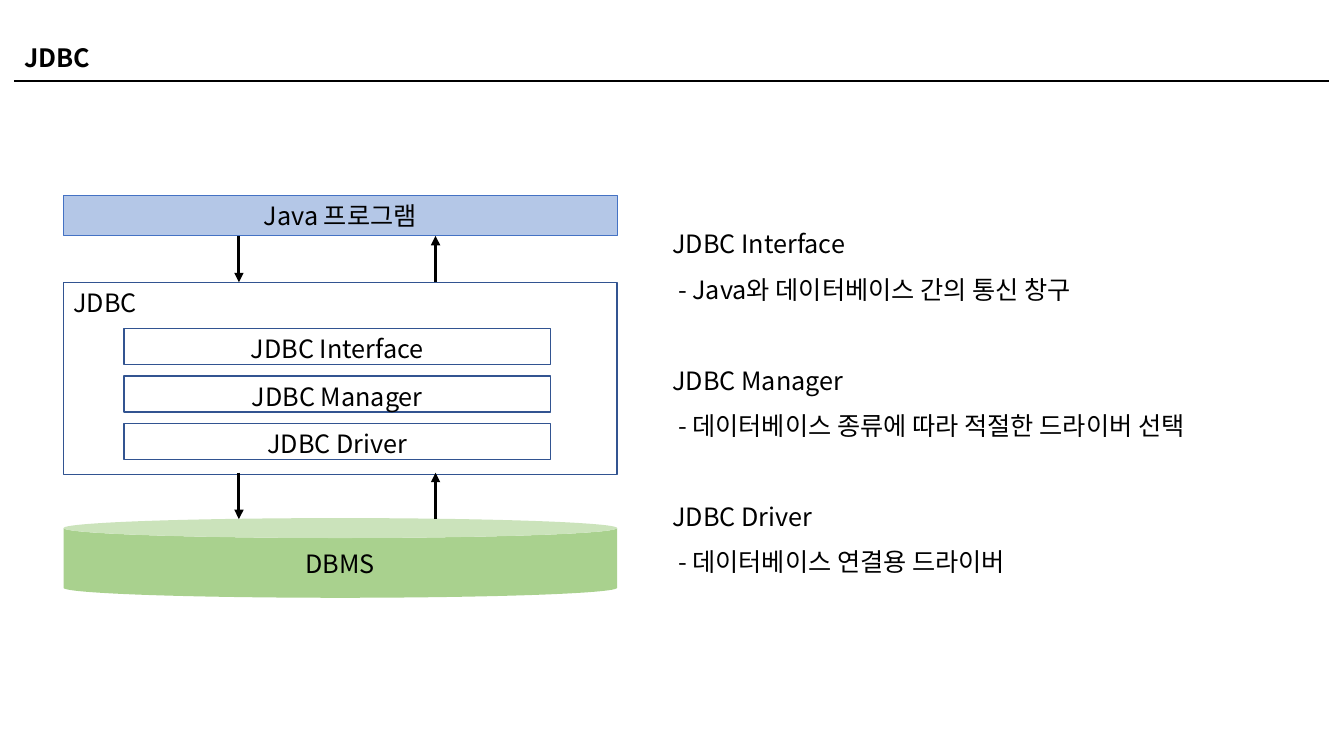
import pptx
import pptx.util
import pptx.dml.color
import pptx.enum.shapes
import pptx.enum.text
import pptx.oxml
import pptx.oxml.ns

Inches = pptx.util.Inches
Pt = pptx.util.Pt
Shape = pptx.enum.shapes.MSO_SHAPE
Align = pptx.enum.text.PP_ALIGN
Anchor = pptx.enum.text.MSO_ANCHOR

FONT = "Noto Sans CJK KR"
COLOURS = {
    "ink": "000000",
    "outline": "325491",
    "program_fill": "B4C7E7",
    "program_line": "4472C4",
    "database": "A9D18E",
}
STACK_LEFT, STACK_WIDTH = 0.63, 5.49
LAYERS = ["JDBC Interface", "JDBC Manager", "JDBC Driver"]
EXPLANATIONS = [
    "Java와 데이터베이스 간의 통신 창구",
    "데이터베이스 종류에 따라 적절한 드라이버 선택",
    "데이터베이스 연결용 드라이버",
]


def colour(name):
    return pptx.dml.color.RGBColor.from_string(COLOURS[name])


def format_text(para, bold=False):
    for span in para.runs:
        span.font.name = FONT
        span.font.size = Pt(18)
        span.font.bold = bold
        span.font.color.rgb = colour("ink")
        east_asian = pptx.oxml.parse_xml(
            f'<a:ea {pptx.oxml.ns.nsdecls("a")} typeface="{FONT}"/>')
        span.font.latin = None
        span._r.get_or_add_rPr().append(east_asian)


def add_text(page, left, top, width, height, lines, bold=False):
    box = page.shapes.add_textbox(Inches(left), Inches(top), Inches(width), Inches(height))
    box.text_frame.word_wrap = True
    box.text_frame.text = "\n".join(lines)
    for para in box.text_frame.paragraphs:
        format_text(para, bold)
    return box


def add_block(page, kind, left, top, width, height, text, fill=None, line=None,
              line_width=1, align=Align.CENTER, anchor=Anchor.TOP):
    block = page.shapes.add_shape(kind, Inches(left), Inches(top), Inches(width), Inches(height))
    block.shadow.inherit = False
    if fill:
        block.fill.solid()
        block.fill.fore_color.rgb = colour(fill)
    else:
        block.fill.background()
    if line:
        block.line.color.rgb = colour(line)
        block.line.width = Pt(line_width)
    else:
        block.line.fill.background()
    block.text_frame.text = text
    block.text_frame.vertical_anchor = anchor
    para = block.text_frame.paragraphs[0]
    para.alignment = align
    format_text(para)


def add_line(page, start, end, width, arrow=False):
    line = page.shapes.add_connector(
        pptx.enum.shapes.MSO_CONNECTOR.STRAIGHT,
        Inches(start[0]), Inches(start[1]), Inches(end[0]), Inches(end[1]))
    line.line.color.rgb = colour("ink")
    line.line.width = Pt(width)
    namespace = pptx.oxml.ns.nsdecls("a")
    if arrow:
        line.line._get_or_add_ln().append(
            pptx.oxml.parse_xml(f'<a:tailEnd {namespace} type="triangle"/>'))
    line._element.spPr.append(pptx.oxml.parse_xml(f"<a:effectLst {namespace}/>"))


def add_exchange(page, top, bottom):
    """Draw the request arrow going down and the reply arrow going up."""
    add_line(page, (2.37, top), (2.37, bottom), 2.25, arrow=True)
    add_line(page, (4.32, bottom), (4.32, top), 2.25, arrow=True)


def add_explanations(page):
    lines = []
    for layer, explanation in zip(LAYERS, EXPLANATIONS):
        lines += [layer, f" - {explanation}"]
    box = add_text(page, 6.57, 2.07, 6.61, 3.68, lines)
    for index, para in enumerate(box.text_frame.paragraphs):
        para.line_spacing = 1.5
        if index in (2, 4):
            para.space_before = Pt(32.5)


def main():
    deck = pptx.Presentation()
    deck.slide_width, deck.slide_height = Inches(13.33), Inches(7.5)
    page = deck.slides.add_slide(deck.slide_layouts[6])

    add_line(page, (0.14, 0.8), (13.18, 0.8), 1.5)
    add_text(page, 0.14, 0.37, 13.04, 0.4, ["JDBC"], bold=True)

    add_block(page, Shape.RECTANGLE, STACK_LEFT, 2.8, STACK_WIDTH, 1.91, "JDBC",
              line="outline", align=Align.LEFT)
    add_block(page, Shape.RECTANGLE, STACK_LEFT, 1.94, STACK_WIDTH, 0.4, "Java 프로그램",
              fill="program_fill", line="program_line", line_width=0.75)
    for index, layer in enumerate(LAYERS):
        add_block(page, Shape.RECTANGLE, 1.23, 3.26 + 0.47 * index, 4.23, 0.36, layer,
                  line="outline")
    add_block(page, Shape.CAN, STACK_LEFT, 5.14, STACK_WIDTH, 0.79, "DBMS",
              fill="database", anchor=Anchor.MIDDLE)
    add_exchange(page, 2.34, 2.8)
    add_exchange(page, 4.69, 5.15)

    add_explanations(page)
    deck.save("out.pptx")


if __name__ == "__main__":
    main()
